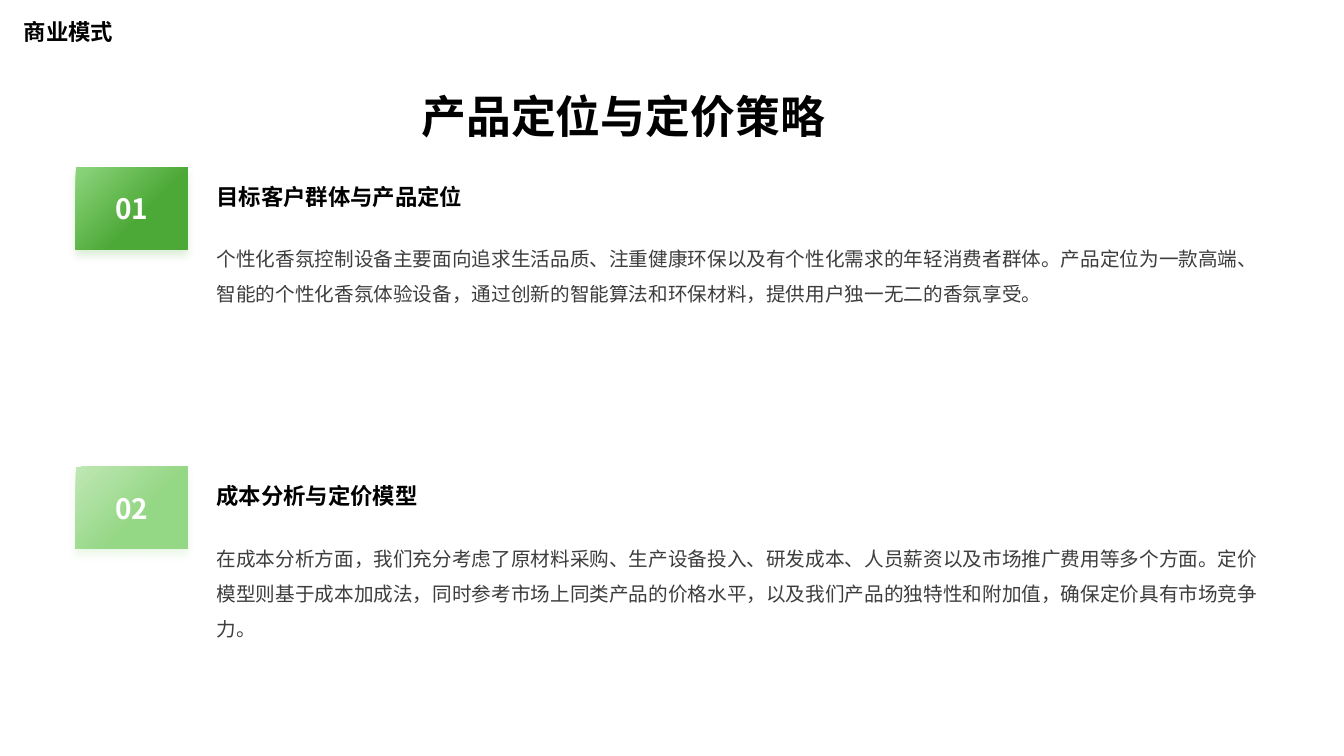
from lxml import etree
from pptx import Presentation
from pptx.dml.color import RGBColor
from pptx.enum.shapes import MSO_SHAPE
from pptx.enum.text import MSO_ANCHOR, MSO_AUTO_SIZE, PP_ALIGN
from pptx.oxml.ns import qn
from pptx.util import Pt

RECT = MSO_SHAPE.RECTANGLE
TOP, MIDDLE, BOTTOM = MSO_ANCHOR.TOP, MSO_ANCHOR.MIDDLE, MSO_ANCHOR.BOTTOM
CENTER = PP_ALIGN.CENTER
GROW = MSO_AUTO_SIZE.SHAPE_TO_FIT_TEXT

FONT = "Noto Sans CJK SC"
BLACK = RGBColor(0x00, 0x00, 0x00)
WHITE = RGBColor(0xFF, 0xFF, 0xFF)
GREY = RGBColor(0x0D, 0x0D, 0x0D)
GREEN = RGBColor(0x4D, 0xA9, 0x37)
LEAF = RGBColor(0x8E, 0xD5, 0x7E)
LIGHT = RGBColor(0x94, 0xD7, 0x84)
PALE = RGBColor(0xBF, 0xE7, 0xB5)

POINTS = [
    ("01", LEAF, GREEN, "目标客户群体与产品定位",
     "个性化香氛控制设备主要面向追求生活品质、注重健康环保以及有个性化需求的年轻消费者群体。"
     "产品定位为一款高端、智能的个性化香氛体验设备，通过创新的智能算法和环保材料，"
     "提供用户独一无二的香氛享受。", 67.5),
    ("02", PALE, LIGHT, "成本分析与定价模型",
     "在成本分析方面，我们充分考虑了原材料采购、生产设备投入、研发成本、人员薪资以及市场推广费用等多个方面。"
     "定价模型则基于成本加成法，同时参考市场上同类产品的价格水平，"
     "以及我们产品的独特性和附加值，确保定价具有市场竞争力。", 93.5),
]
FIRST, PITCH = 119.5, 214


def style(para, size, color, bold=True, alpha=None):
    font = para.font
    font.name, font.size, font.bold = FONT, Pt(size), bold
    font.color.rgb = color
    props = para._p.pPr.find(qn("a:defRPr"))
    latin = props.find(qn("a:latin"))
    latin.addnext(latin.makeelement(qn("a:ea"), {"typeface": FONT}))
    if alpha:
        tint = props.find(".//" + qn("a:srgbClr"))
        etree.SubElement(tint, qn("a:alpha"), val=str(alpha * 1000))


def add_text(shapes, box, text, size, color=BLACK, bold=True, alpha=None,
             inset=None, anchor=TOP, wrap=True, space=None):
    frame = shapes.add_textbox(*map(Pt, box)).text_frame
    frame.word_wrap, frame.auto_size = wrap, GROW
    frame.vertical_anchor = anchor
    if inset:
        frame.margin_left = frame.margin_right = Pt(inset)
        frame.margin_top = frame.margin_bottom = Pt(inset)
    para = frame.paragraphs[0]
    para.text = text
    if space:
        para.line_spacing = space
    style(para, size, color, bold, alpha)


def cast_shadow(shape, color):
    """Add a soft shadow that falls straight down."""
    shape.shadow.inherit = False
    effects = shape._element.spPr.find(qn("a:effectLst"))
    outer = etree.SubElement(
        effects, qn("a:outerShdw"), blurRad=str(Pt(6)), dist=str(Pt(4)),
        dir="5400000", algn="t", rotWithShape="0")
    tint = etree.SubElement(outer, qn("a:srgbClr"), val=str(color))
    etree.SubElement(tint, qn("a:alpha"), val="20000")


def add_badge(shapes, box, label, start, end):
    badge = shapes.add_shape(RECT, *map(Pt, box))
    badge.line.fill.background()
    fill = badge.fill
    fill.gradient()
    fill.gradient_angle = 315
    for stop, color, place in zip(fill.gradient_stops, (start, end), (0, 0.6)):
        stop.color.rgb, stop.position = color, place
    cast_shadow(badge, end)
    frame = badge.text_frame
    frame.vertical_anchor = MIDDLE
    para = frame.paragraphs[0]
    para.text, para.alignment = label, CENTER
    style(para, 20, WHITE)


def add_point(slide, left, top, width, point):
    label, start, end, head, body, height = point
    shapes = slide.shapes.add_group_shape().shapes
    indent = 92.2
    across = width - indent
    add_text(shapes, (left + indent, top + 2.9, across, 36), head, 16,
             inset=8.5, anchor=BOTTOM)
    add_text(shapes, (left + indent, top + 40, across, height), body, 14,
             GREY, False, 80, inset=8.5, space=1.5)
    add_badge(shapes, (left, top, 80, 58.5), label, start, end)


def main():
    deck = Presentation()
    deck.slide_width, deck.slide_height = Pt(960), Pt(540)
    slide = deck.slides.add_slide(deck.slide_layouts[6])
    for row, point in enumerate(POINTS):
        add_point(slide, 54, FIRST + row * PITCH, 854, point)
    add_text(slide.shapes, (10, 9.4, 78.5, 26.6), "商业模式", 16, wrap=False)
    add_text(slide.shapes, (294, 59.8, 387.5, 46), "产品定位与定价策略", 32)
    deck.save("out.pptx")


if __name__ == "__main__":
    main()
